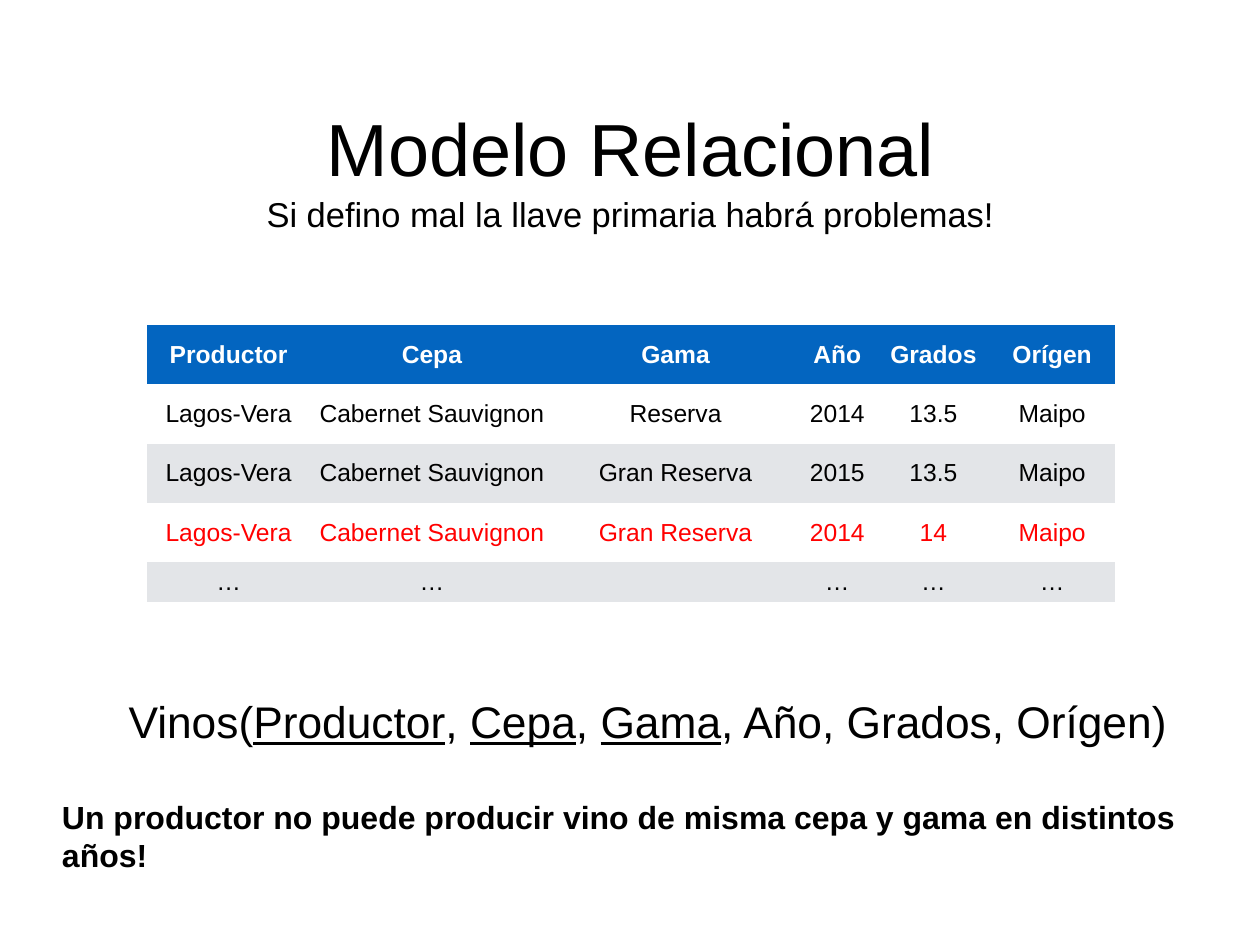
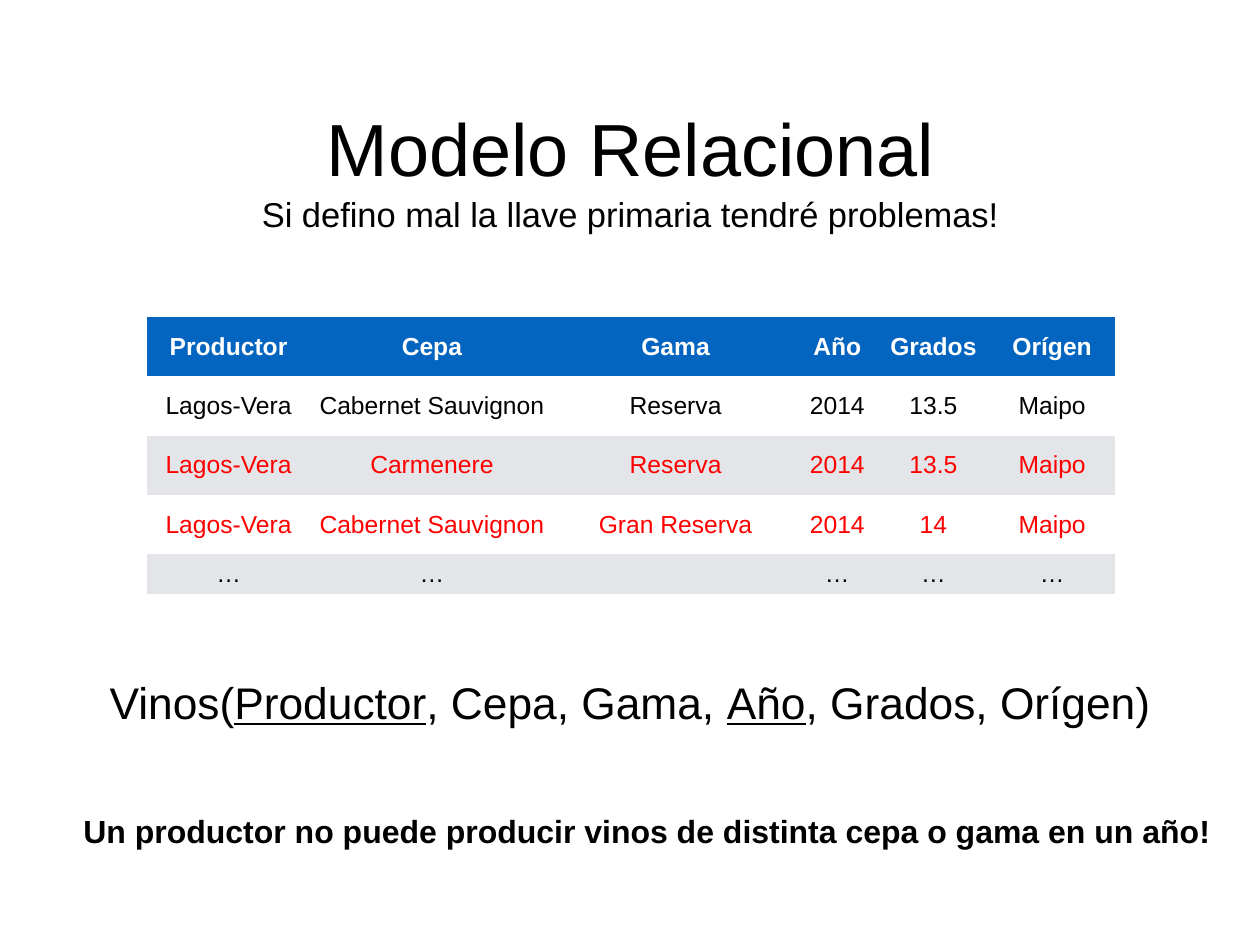
import dataclasses

import pptx
import pptx.dml.color
import pptx.enum.text
import pptx.oxml.ns
import pptx.util

Inches = pptx.util.Inches
Align = pptx.enum.text.PP_ALIGN
Anchor = pptx.enum.text.MSO_ANCHOR


@dataclasses.dataclass(frozen=True)
class Theme:
    font: str = "Arial"
    ink: str = "000000"
    white: str = "FFFFFF"
    header: str = "0365C0"
    band: str = "E3E5E8"
    highlight: str = "FF0000"
    title_size: int = 60
    subtitle_size: int = 28
    schema_size: int = 36
    note_size: int = 26
    table_size: int = 20
    inset: float = 0.06
    plain_table: str = "{2D5ABB26-0587-4C30-8999-92F81FD0307C}"


THEME = Theme()
TITLE_BOX = (3.6, 1.11, 7.03, 1.11)
SUBTITLE_BOX = (2.77, 2.12, 8.68, 0.58)
TABLE_LEFT = 1.66
COLUMN_WIDTHS = (1.84, 2.75, 2.75, 0.9, 1.27, 1.41)
ROW_HEIGHTS = (0.67, 0.67, 0.67, 0.67, 0.41)

HEADINGS = ("Productor", "Cepa", "Gama", "Año", "Grados", "Orígen")
ELLIPSIS_ROW = ("…", "…", "", "…", "…", "…")
PRODUCER = "Lagos-Vera"
RESERVE = (PRODUCER, "Cabernet Sauvignon", "Reserva", "2014", "13.5", "Maipo")
GRAND_2014 = (PRODUCER, "Cabernet Sauvignon", "Gran Reserva", "2014", "14", "Maipo")
GRAND_2015 = (PRODUCER, "Cabernet Sauvignon", "Gran Reserva", "2015", "13.5", "Maipo")
CARMENERE = (PRODUCER, "Carmenere", "Reserva", "2014", "13.5", "Maipo")


def rgb(value):
    return pptx.dml.color.RGBColor.from_string(value)


def add_run(paragraph, text, size, color=THEME.ink, bold=False, underline=False):
    run = paragraph.add_run()
    run.text = text
    font = run.font
    font.name = THEME.font
    font.size = pptx.util.Pt(size)
    font.color.rgb = rgb(color)
    font.bold = bold
    font.underline = underline


def set_margins(target):
    target.margin_left = target.margin_right = Inches(THEME.inset)
    target.margin_top = target.margin_bottom = Inches(THEME.inset)


def prepare_frame(shape, alignment=Align.CENTER):
    frame = shape.text_frame
    frame.word_wrap = True
    frame.auto_size = pptx.enum.text.MSO_AUTO_SIZE.SHAPE_TO_FIT_TEXT
    frame.vertical_anchor = Anchor.MIDDLE
    set_margins(frame)
    paragraph = frame.paragraphs[0]
    paragraph.alignment = alignment
    return paragraph


def add_title(slide, text):
    title = slide.shapes.title
    title.left, title.top, title.width, title.height = map(Inches, TITLE_BOX)
    add_run(prepare_frame(title), text, THEME.title_size)


def add_text(slide, box, text, size, bold=False, alignment=Align.CENTER):
    shape = slide.shapes.add_textbox(*map(Inches, box))
    add_run(prepare_frame(shape, alignment), text, size, bold=bold)


def add_schema(slide, box, relation, keys):
    shape = slide.shapes.add_textbox(*map(Inches, box))
    paragraph = prepare_frame(shape)
    separator = relation + "("
    for name in HEADINGS:
        add_run(paragraph, separator, THEME.schema_size)
        add_run(paragraph, name, THEME.schema_size, underline=name in keys)
        separator = ", "
    add_run(paragraph, ")", THEME.schema_size)


def fill_cell(cell, text, fill, color, bold):
    cell.fill.solid()
    cell.fill.fore_color.rgb = rgb(fill)
    cell.vertical_anchor = Anchor.MIDDLE
    set_margins(cell)
    paragraph = cell.text_frame.paragraphs[0]
    paragraph.alignment = Align.CENTER
    if text:
        add_run(paragraph, text, THEME.table_size, color, bold)


def add_wine_table(slide, top, wines, highlighted):
    rows = (HEADINGS, *wines, ELLIPSIS_ROW)
    frame = slide.shapes.add_table(
        len(rows), len(HEADINGS), Inches(TABLE_LEFT), Inches(top),
        Inches(sum(COLUMN_WIDTHS)), Inches(sum(ROW_HEIGHTS)))
    style = frame.element.find(".//" + pptx.oxml.ns.qn("a:tableStyleId"))
    style.text = THEME.plain_table
    table = frame.table
    table.horz_banding = False
    for column, width in zip(table.columns, COLUMN_WIDTHS):
        column.width = Inches(width)
    for index, values in enumerate(rows):
        table.rows[index].height = Inches(ROW_HEIGHTS[index])
        is_header = index == 0
        if is_header:
            fill, color = THEME.header, THEME.white
        else:
            fill = THEME.white if index % 2 else THEME.band
            color = THEME.highlight if values in highlighted else THEME.ink
        for column, text in enumerate(values):
            fill_cell(table.cell(index, column), text, fill, color, is_header)


def add_model_slide(presentation, subtitle):
    slide = presentation.slides.add_slide(presentation.slide_layouts[5])
    add_title(slide, "Modelo Relacional")
    add_text(slide, SUBTITLE_BOX, subtitle, THEME.subtitle_size)
    return slide


def main():
    presentation = pptx.Presentation()
    presentation.slide_width = Inches(14.22)
    presentation.slide_height = Inches(10.67)

    slide = add_model_slide(
        presentation, "Si defino mal la llave primaria habrá problemas!")
    add_schema(slide, (0.64, 7.78, 13.34, 0.72), "Vinos", ("Productor", "Cepa", "Gama"))
    add_text(
        slide, (0.64, 8.94, 13.34, 0.99),
        "Un productor no puede producir vino de misma cepa y gama en distintos años!",
        THEME.note_size, bold=True, alignment=Align.LEFT)
    add_wine_table(slide, 3.67, (RESERVE, GRAND_2015, GRAND_2014), (GRAND_2014,))

    slide = add_model_slide(
        presentation, "Si defino mal la llave primaria tendré problemas!")
    add_schema(slide, (0.44, 7.56, 13.34, 0.72), "Vinos", ("Productor", "Año"))
    add_text(
        slide, (0.64, 9.11, 13.34, 0.55),
        "Un productor no puede producir vinos de distinta cepa o gama en un año!",
        THEME.note_size, bold=True)
    add_wine_table(slide, 3.58, (RESERVE, CARMENERE, GRAND_2014), (CARMENERE, GRAND_2014))

    presentation.save("out.pptx")


if __name__ == "__main__":
    main()
